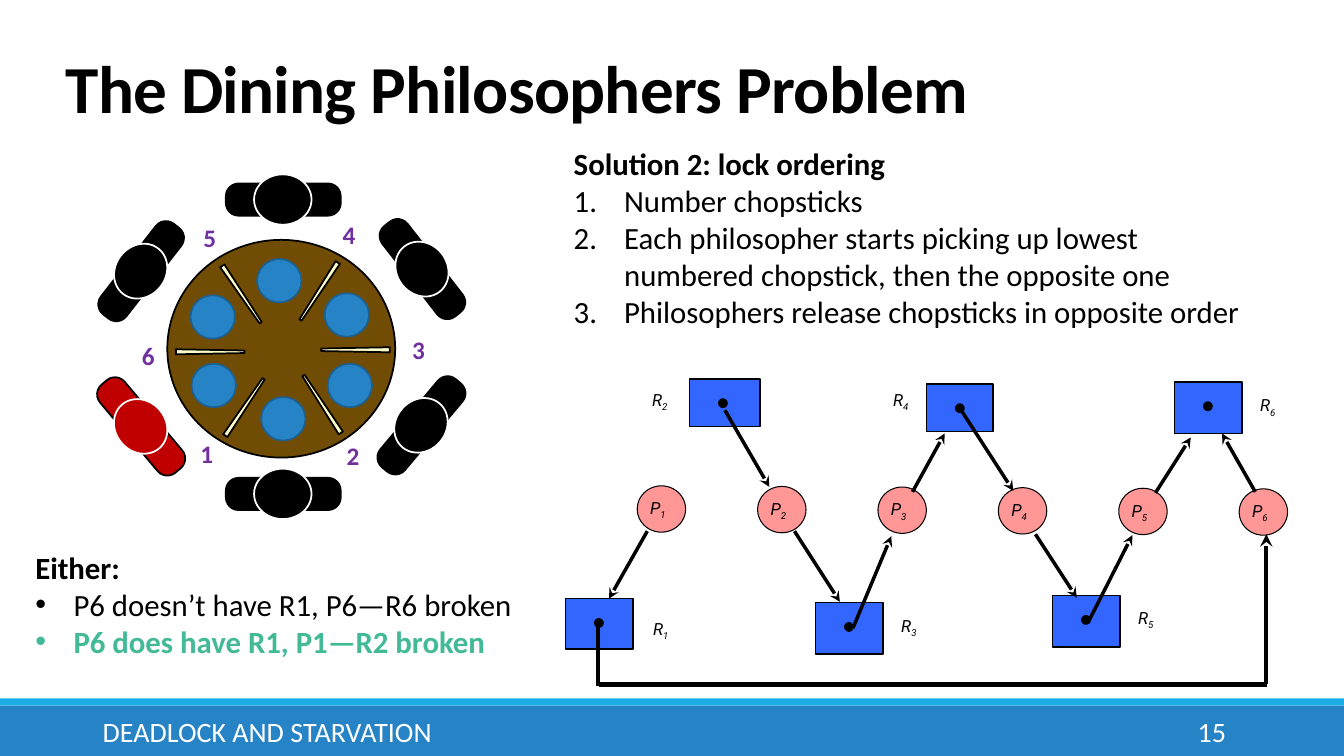
from lxml import etree
from pptx import Presentation
from pptx.dml.color import RGBColor
from pptx.enum.shapes import MSO_CONNECTOR, MSO_SHAPE
from pptx.enum.text import MSO_ANCHOR, MSO_AUTO_SIZE, PP_ALIGN
from pptx.oxml.ns import qn
from pptx.util import Inches, Pt

RECTANGLE, OVAL = MSO_SHAPE.RECTANGLE, MSO_SHAPE.OVAL
ROUNDED, TRAPEZOID = MSO_SHAPE.ROUNDED_RECTANGLE, MSO_SHAPE.TRAPEZOID
STRAIGHT = MSO_CONNECTOR.STRAIGHT
TOP, MIDDLE, BOTTOM = MSO_ANCHOR.TOP, MSO_ANCHOR.MIDDLE, MSO_ANCHOR.BOTTOM
LEFT, RIGHT = PP_ALIGN.LEFT, PP_ALIGN.RIGHT
NO_FIT = MSO_AUTO_SIZE.NONE
TWO_CONTENT = 3
BLACK, WHITE, BLUE = "000000", "FFFFFF", "2683C6"
color = RGBColor.from_string


def add_figure(shapes, kind, box, fill, line=None, width=1.25, rotation=0):
    """Add a filled shape; box is left, top, width, height in inches."""
    figure = shapes.add_shape(kind, *[Inches(length) for length in box])
    figure.shadow.inherit = False
    figure.fill.solid()
    figure.fill.fore_color.rgb = color(fill)
    if line:
        figure.line.color.rgb = color(line)
        figure.line.width = Pt(width)
    else:
        figure.line.fill.background()
    figure.rotation = rotation
    return figure


def add_label(shapes, box, text, size, font, hue, subscript="", wrap=True):
    """Add a one-line text box, with an optional subscript."""
    label = shapes.add_textbox(*[Inches(length) for length in box])
    label.text_frame.word_wrap = wrap
    paragraph = label.text_frame.paragraphs[0]
    paragraph.font.size = Pt(size)
    paragraph.font.name = font
    paragraph.font.color.rgb = color(hue)
    paragraph.add_run().text = text
    if subscript:
        paragraph.font.italic = True
        run = paragraph.add_run()
        run.text = subscript
        run.font._element.set("baseline", "-25000")
    return label


presentation = Presentation()
presentation.slide_width, presentation.slide_height = Inches(13.33), Inches(7.5)
slide = presentation.slides.add_slide(presentation.slide_layouts[TWO_CONTENT])
title, solution, outcome = slide.placeholders

# Footer band
add_figure(slide.shapes, RECTANGLE, (0, 7, 13.33, 0.5), BLUE)
add_figure(slide.shapes, RECTANGLE, (0, 6.93, 13.33, 0.07), "1CADE4")
footer = add_label(slide.shapes, (0.92, 7.06, 8.39, 0.4),
                   "DEADLOCK AND STARVATION", 20, "Calibri", WHITE)
number = add_label(slide.shapes, (10.83, 7.06, 1.43, 0.4), "15", 20, "Calibri", WHITE)
footer.text_frame.vertical_anchor = number.text_frame.vertical_anchor = MIDDLE
number.text_frame.paragraphs[0].alignment = RIGHT

# Title
title.left, title.top, title.width, title.height = map(Inches, (0.55, 0.46, 11, 0.85))
title.text_frame.text = "The Dining Philosophers Problem"
title.text_frame.vertical_anchor = BOTTOM
title.text_frame.auto_size = NO_FIT
heading = title.text_frame.paragraphs[0]
heading.alignment = LEFT
heading.line_spacing = 0.85
heading.font.size, heading.font.name, heading.font.bold = Pt(48), "Calibri", True
heading.font.color.rgb = color(BLACK)
heading.runs[0].font._element.set("spc", "-50")

# Lists: placeholder, box, bullet tag and attributes, hanging indent, lines
lists = [
    (solution, (5.17, 1.39, 7.45, 2.32), "a:buAutoNum", {"type": "arabicPeriod"}, 0.5,
     ["Solution 2: lock ordering",
      "Number chopsticks",
      "Each philosopher starts picking up lowest numbered chopstick, "
      "then the opposite one",
      "Philosophers release chopsticks in opposite order"]),
    (outcome, (-0.17, 5.39, 7.45, 1.21), "a:buChar", {"char": "•"}, 0.38,
     ["Either:",
      "P6 doesn’t have R1, P6—R6 broken",
      "P6 does have R1, P1—R2 broken"]),
]
for body, box, bullet, attributes, hanging, lines in lists:
    body.left, body.top, body.width, body.height = map(Inches, box)
    frame = body.text_frame
    frame.auto_size, frame.vertical_anchor = NO_FIT, TOP
    frame.text = "\n".join(lines)
    for index, paragraph in enumerate(frame.paragraphs):
        indent = hanging if index else 0
        properties = paragraph._p.get_or_add_pPr()
        properties.set("marL", str(Inches(0.42 + indent)))
        properties.set("indent", str(Inches(-indent)))
        paragraph.space_before = Pt(0)
        if index:
            etree.SubElement(properties, qn(bullet), attributes)
        else:
            etree.SubElement(properties, qn("a:buNone"))
        paragraph.font.size, paragraph.font.name = Pt(22), "Calibri"
        paragraph.font.bold = index == 0
        paragraph.font.color.rgb = color(BLACK)
highlight = outcome.text_frame.paragraphs[-1]
highlight.font.bold = True
highlight.font.color.rgb = color("42BA97")

# Philosophers: centre, rotation, colour
dining = slide.shapes.add_group_shape().shapes
philosophers = [
    (1.4, 2.69, 307.9, BLACK), (2.81, 1.98, 0, BLACK), (2.81, 4.9, 0, BLACK),
    (1.4, 4.23, 230, "C00000"), (4.19, 2.67, 52.1, BLACK), (4.18, 4.22, 130, BLACK),
]
for x, y, rotation, fill in philosophers:
    shoulders = add_figure(dining, ROUNDED, (x - 0.57, y - 0.16, 1.14, 0.32),
                           fill, BLACK, rotation=rotation)
    shoulders.adjustments[0] = 0.395
    add_figure(dining, OVAL, (x - 0.29, y - 0.25, 0.57, 0.5), fill, WHITE,
               rotation=rotation)

# Table, chopsticks (centre, rotation) and plates (left, top)
add_figure(dining, OVAL, (1.66, 2.38, 2.26, 2.16), "704C04", BLACK)
chopsticks = [(3.53, 3.47, 270), (3.2, 4.01, 327), (2.43, 4.04, 34),
              (2.09, 3.49, 90), (3.17, 2.89, 213), (2.4, 2.92, 146)]
for x, y, rotation in chopsticks:
    add_figure(dining, TRAPEZOID, (x - 0.03, y - 0.34, 0.05, 0.68), "FFFFCC", BLACK,
               rotation=rotation)
plates = [(2.55, 2.57), (3.22, 2.91), (3.25, 3.61), (2.59, 3.94), (1.9, 3.61), (1.89, 2.93)]
for left, top in plates:
    add_figure(dining, OVAL, (left, top, 0.44, 0.43), BLUE, "1C6192")

# Chopstick numbers 1 to 6
number_places = [(1.89, 4.3), (3.34, 4.32), (3.99, 3.27), (3.3, 2.13), (1.92, 2.16), (1.31, 3.33)]
for index, (left, top) in enumerate(number_places, 1):
    label = add_label(slide.shapes, (left, top, 0.33, 0.4), str(index), 18, "Calibri",
                      "7030A0", wrap=False)
    label.text_frame.paragraphs[0].font.bold = True

# Resources R1 to R6: box, then left and top of the label
graph = slide.shapes.add_group_shape().shapes
resources = [
    ((5.61, 5.94, 0.67, 0.5), (6.38, 6.09)),
    ((6.84, 3.76, 0.7, 0.47), (6.37, 3.82)),
    ((8.09, 5.98, 0.67, 0.51), (8.84, 6.06)),
    ((9.19, 3.81, 0.66, 0.47), (8.76, 3.82)),
    ((10.44, 5.91, 0.67, 0.51), (11.19, 5.98)),
    ((11.65, 3.79, 0.67, 0.51), (12.4, 3.87)),
]
for index, (box, place) in enumerate(resources, 1):
    add_figure(graph, RECTANGLE, box, "3366FF", BLACK, 1)
    add_figure(graph, OVAL, (box[0] + 0.29, box[1] + 0.2, 0.08, 0.08), BLACK, BLACK)
    add_label(graph, (*place, 0.39, 0.3), "R", 12, "Roboto", BLACK, str(index))

# Processes P1 to P6, evenly spaced on a slightly sloping row
for index in range(6):
    left, top = 6.32 + 5.97 * index / 5, 4.82 + 0.03 * index / 5
    add_figure(graph, OVAL, (left, top, 0.48, 0.46), "FF9797", BLACK, 0.75)
    add_label(graph, (left + 0.03, top + 0.07, 0.39, 0.3), "P", 12, "Roboto", BLACK,
              str(index + 1))

# Edges: start, end, line width, arrowhead at the end
edges = [
    (6.42, 5.27, 6.04, 5.94, 2.5, True),
    (7.19, 4.07, 7.63, 4.83, 2.5, True),
    (7.88, 5.27, 8.33, 5.97, 2.5, True),
    (8.46, 6.23, 8.84, 5.32, 2.5, True),
    (9.05, 4.88, 9.37, 4.3, 2.5, True),
    (9.54, 4.08, 10.05, 4.87, 2.5, True),
    (10.27, 5.3, 10.68, 5.93, 2.5, True),
    (10.79, 6.18, 11.23, 5.31, 2.5, True),
    (11.46, 4.89, 11.81, 4.34, 2.5, True),
    (12.45, 4.88, 12.12, 4.3, 2.5, True),
    (5.93, 6.19, 5.93, 6.81, 3, False),
    (5.94, 6.79, 12.57, 6.79, 3, False),
    (12.56, 6.79, 12.56, 5.3, 3, True),
]
for *ends, width, arrow in edges:
    edge = graph.add_connector(STRAIGHT, *[Inches(length) for length in ends])
    edge.line.color.rgb = color(BLACK)
    edge.line.width = Pt(width)
    if arrow:
        etree.SubElement(edge.line._get_or_add_ln(), qn("a:tailEnd"), type="stealth")
    etree.SubElement(edge._element.spPr, qn("a:effectLst"))

presentation.save("out.pptx")
